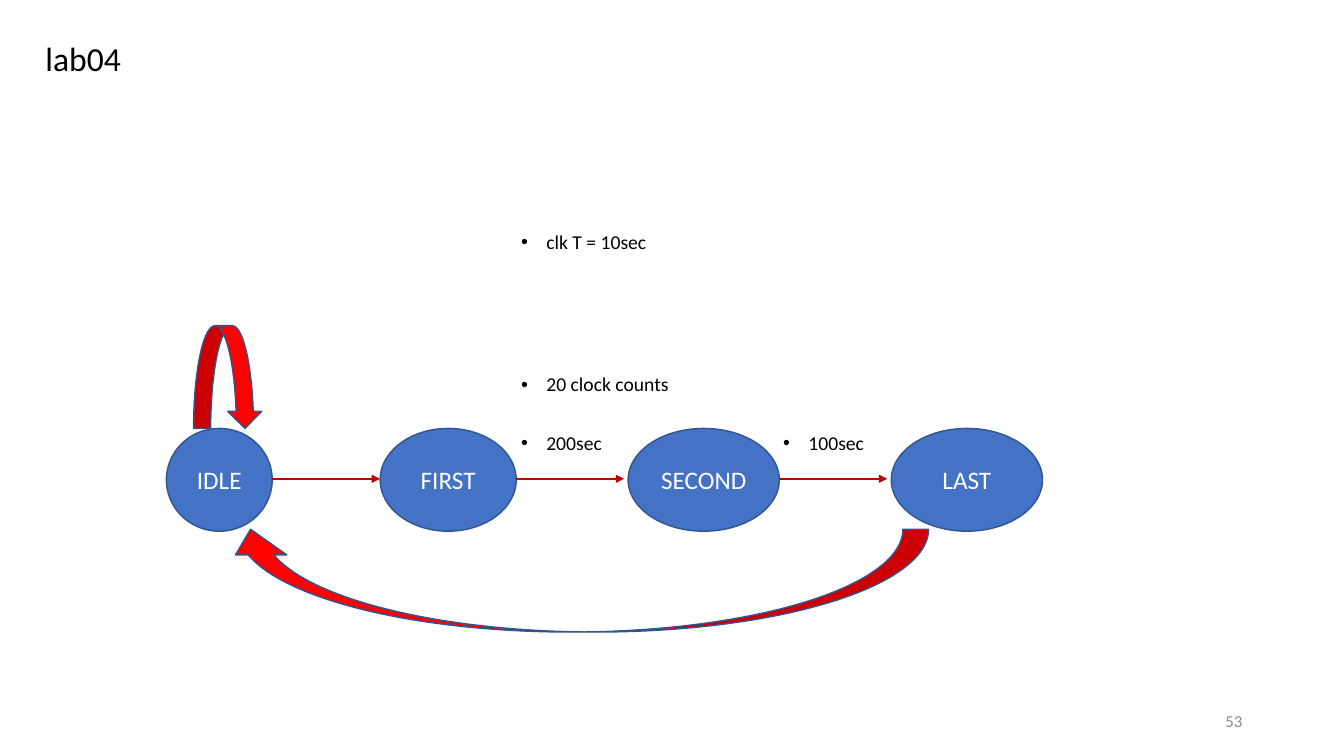
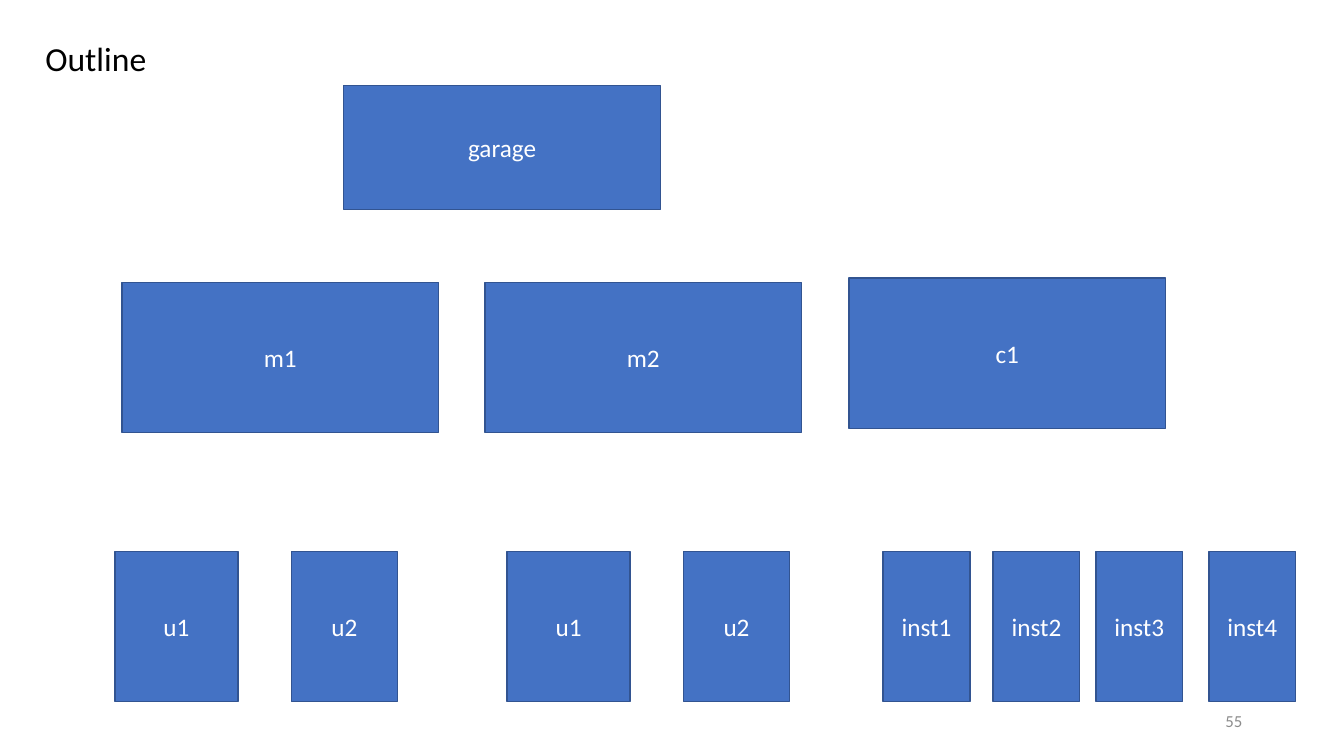
from lxml.etree import SubElement
from pptx import Presentation
from pptx.dml.color import RGBColor
from pptx.enum.shapes import MSO_CONNECTOR, MSO_SHAPE
from pptx.enum.text import MSO_ANCHOR, PP_ALIGN
from pptx.oxml.ns import qn
from pptx.util import Pt

PX = 9144  # 100 px to the inch
FONT = "Calibri"
BLACK = RGBColor(0x00, 0x00, 0x00)
WHITE = RGBColor(0xFF, 0xFF, 0xFF)
GRAY = RGBColor(0x8C, 0x8C, 0x8C)
BLUE = RGBColor(0x44, 0x72, 0xC4)
NAVY = RGBColor(0x32, 0x54, 0x91)
RED = RGBColor(0xFF, 0x00, 0x00)
DARK_RED = RGBColor(0xC0, 0x00, 0x00)


def write(frame, text, size, color, align=PP_ALIGN.LEFT, anchor=MSO_ANCHOR.MIDDLE):
    """Put one formatted paragraph into a text frame and return it."""
    frame.word_wrap = True
    frame.vertical_anchor = anchor
    paragraph = frame.paragraphs[0]
    paragraph.alignment = align
    run = paragraph.add_run()
    run.text = text
    run.font.name = FONT
    run.font.size = Pt(size)
    run.font.color.rgb = color
    return paragraph


def add_block(slide, preset, box, fill, text=""):
    """Add an outlined shape; box is left, top, width, height in px."""
    block = slide.shapes.add_shape(preset, *(v * PX for v in box))
    block.shadow.inherit = False
    block.fill.solid()
    block.fill.fore_color.rgb = fill
    block.line.color.rgb = NAVY
    block.line.width = Pt(1)
    if text:
        write(block.text_frame, text, 18, WHITE, PP_ALIGN.CENTER)
    return block


prs = Presentation()
prs.slide_width = 1333 * PX
prs.slide_height = 750 * PX

slides = []
for heading, number in [("lab04", "53"), ("Outline", "55")]:
    slide = prs.slides.add_slide(prs.slide_layouts[5])
    title = slide.shapes.title
    title.left, title.top, title.width, title.height = (
        v * PX for v in (35, 27, 1206, 66))
    write(title.text_frame, heading, 24, BLACK).line_spacing = 0.9
    page_number = slide.shapes.add_textbox(942 * PX, 695 * PX, 300 * PX, 40 * PX)
    write(page_number.text_frame, number, 12, GRAY, PP_ALIGN.RIGHT)
    slides.append(slide)
lab, outline = slides

# State machine
STATE_TOP, STATE_HEIGHT = 425, 102
for state, left, width in [("IDLE", 165, 105), ("FIRST", 377, 135),
                           ("SECOND", 623, 150), ("LAST", 884, 150)]:
    add_block(lab, MSO_SHAPE.OVAL, (left, STATE_TOP, width, STATE_HEIGHT), BLUE, state)

STEP_Y, STEP_LENGTH = 475, 107
for start in (270, 512, 773):
    step = lab.shapes.add_connector(
        MSO_CONNECTOR.STRAIGHT, start * PX, STEP_Y * PX,
        (start + STEP_LENGTH) * PX, STEP_Y * PX)
    step.line.color.rgb = DARK_RED
    step.line.width = Pt(1.5)
    SubElement(step.line._get_or_add_ln(), qn("a:tailEnd"), type="triangle")
    SubElement(step._element.spPr, qn("a:effectLst"))

add_block(lab, MSO_SHAPE.CURVED_DOWN_ARROW, (192, 323, 68, 102), RED)
return_arrow = add_block(lab, MSO_SHAPE.CURVED_DOWN_ARROW, (223, 525, 698, 102), RED)
return_arrow.rotation = 180

INDENT = 25 * PX
for note, left, top, width, height in [
        ("200sec", 507, 425, 130, 66), ("100sec", 767, 425, 130, 57),
        ("clk T = 10sec", 507, 226, 178, 66), ("20 clock counts", 507, 367, 178, 57)]:
    note_box = lab.shapes.add_textbox(left * PX, top * PX, width * PX, height * PX)
    paragraph = write(note_box.text_frame, note, 14, BLACK, anchor=MSO_ANCHOR.TOP)
    paragraph.line_spacing = 0.9
    paragraph.space_before = Pt(10)
    properties = paragraph._p.get_or_add_pPr()
    properties.set("marL", str(INDENT))
    properties.set("indent", str(-INDENT))
    SubElement(properties, qn("a:buFont"), typeface="Arial")
    SubElement(properties, qn("a:buChar"), char="•")

# Module hierarchy
MODULE_WIDTH, ROW_HEIGHT, UNIT_TOP = 314, 149, 547
modules = [("garage", 341, 85, 123), ("m1", 121, 280, ROW_HEIGHT),
           ("m2", 481, 280, ROW_HEIGHT), ("c1", 842, 276, ROW_HEIGHT)]
for module, left, top, height in modules:
    add_block(outline, MSO_SHAPE.RECTANGLE, (left, top, MODULE_WIDTH, height), BLUE, module)

units = []
for left in (114, 503):
    units += [("u1", left, 122), ("u2", left + 175, 105)]
units += [(f"inst{i}", left, 86) for i, left in enumerate((876, 985, 1087, 1199), 1)]
for unit, left, width in units:
    add_block(outline, MSO_SHAPE.RECTANGLE, (left, UNIT_TOP, width, ROW_HEIGHT), BLUE, unit)

prs.save("out.pptx")
